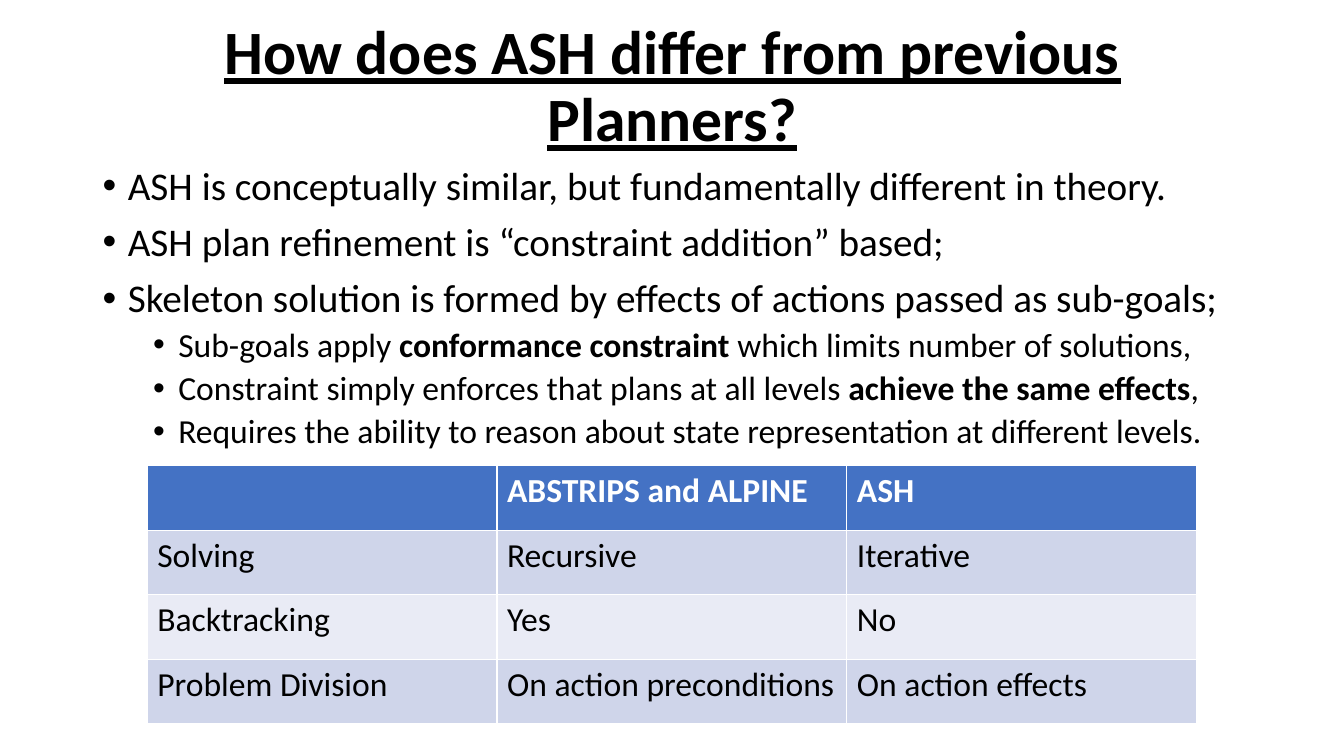
"""Builds the slide comparing ASH with previous planners."""
from lxml import etree
from pptx import Presentation
from pptx.dml.color import RGBColor
from pptx.enum.text import MSO_ANCHOR, PP_ALIGN
from pptx.oxml.ns import qn
from pptx.util import Inches, Pt

MIDDLE, TOP = MSO_ANCHOR.MIDDLE, MSO_ANCHOR.TOP
CENTER, LEFT = PP_ALIGN.CENTER, PP_ALIGN.LEFT
FONT = "Calibri"
COLORS = {"text": "000000", "header_text": "FFFFFF", "header": "4472C4",
          "odd_row": "CFD5EA", "even_row": "E9EBF5"}

TITLE = "How does ASH differ from previous Planners?"
BULLETS = [
    (0, ["ASH is conceptually similar, but fundamentally different in theory."]),
    (0, ["ASH plan refinement is “constraint addition” based;"]),
    (0, ["Skeleton solution is formed by effects of actions passed as sub-goals;"]),
    (1, ["Sub-goals apply ", "conformance constraint",
         " which limits number of solutions,"]),
    (1, ["Constraint simply enforces that plans at all levels ",
         "achieve the same effects", ","]),
    (1, ["Requires the ability to reason about state representation at different levels."]),
]
LEVELS = [{"size": 28, "before": 10, "indent": 0.25},
          {"size": 24, "before": 5, "indent": 0.75}]
HANGING = 0.25
COMPARISON = [
    ("", "ABSTRIPS and ALPINE", "ASH"),
    ("Solving", "Recursive", "Iterative"),
    ("Backtracking", "Yes", "No"),
    ("Problem Division", "On action preconditions", "On action effects"),
]
TITLE_BOX = (0.92, 0.15, 11.5, 1.45)
BODY_BOX = (0.92, 1.6, 11.5, 4.76)
TABLE_BOX = (1.46, 4.62, 10.41, 2.56)


def add_span(para, text, size=24, color="text", bold=False, underline=False):
    span = para.add_run()
    span.text = text
    font = span.font
    font.name, font.size = FONT, Pt(size)
    font.bold, font.underline = bold, underline
    font.color.rgb = RGBColor.from_string(COLORS[color])


def add_text_frame(page, place, anchor):
    frame = page.shapes.add_textbox(*map(Inches, place)).text_frame
    frame.word_wrap = True
    frame.vertical_anchor = anchor
    return frame


def add_title(page):
    para = add_text_frame(page, TITLE_BOX, MIDDLE).paragraphs[0]
    para.alignment, para.line_spacing = CENTER, 0.9
    add_span(para, TITLE, size=44, bold=True, underline=True)


def add_bullets(page):
    frame = add_text_frame(page, BODY_BOX, TOP)
    for index, (level, pieces) in enumerate(BULLETS):
        style = LEVELS[level]
        para = frame.add_paragraph() if index else frame.paragraphs[0]
        para.level, para.alignment = level, LEFT
        para.line_spacing, para.space_before = 0.9, Pt(style["before"])
        properties = para._p.get_or_add_pPr()
        properties.set("marL", str(Inches(style["indent"])))
        properties.set("indent", str(-Inches(HANGING)))
        etree.SubElement(properties, qn("a:buFont")).set("typeface", "Arial")
        etree.SubElement(properties, qn("a:buChar")).set("char", "•")
        for position, piece in enumerate(pieces):
            add_span(para, piece, size=style["size"], bold=position % 2 == 1)


def add_comparison(page):
    table = page.shapes.add_table(len(COMPARISON), len(COMPARISON[0]),
                                  *map(Inches, TABLE_BOX)).table
    for row, texts in enumerate(COMPARISON):
        is_header = row == 0
        fill = "header" if is_header else ("even_row", "odd_row")[row % 2]
        for column, text in enumerate(texts):
            cell = table.cell(row, column)
            cell.fill.solid()
            cell.fill.fore_color.rgb = RGBColor.from_string(COLORS[fill])
            if text:
                add_span(cell.text_frame.paragraphs[0], text, bold=is_header,
                         color="header_text" if is_header else "text")


def main():
    deck = Presentation()
    deck.slide_width, deck.slide_height = Inches(13.33), Inches(7.5)
    page = deck.slides.add_slide(deck.slide_layouts[6])
    add_title(page)
    add_bullets(page)
    add_comparison(page)
    deck.save("out.pptx")


if __name__ == "__main__":
    main()
